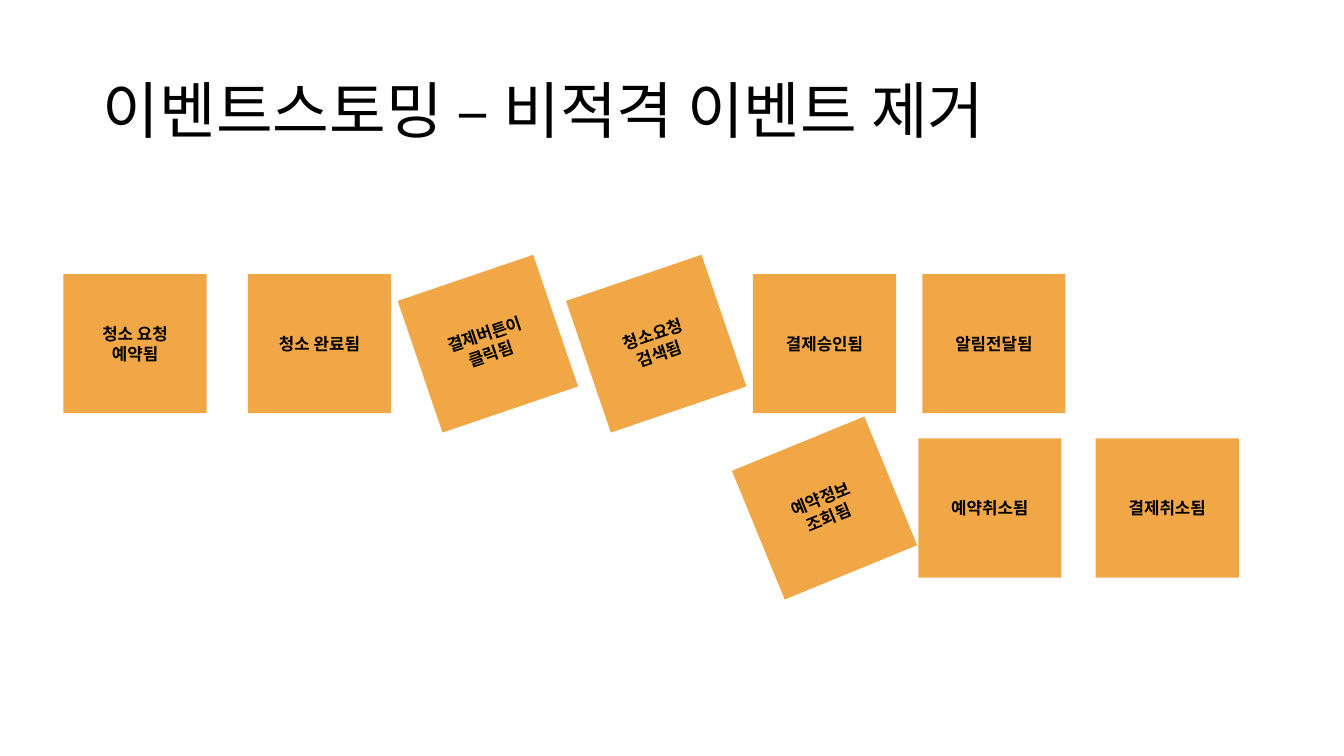
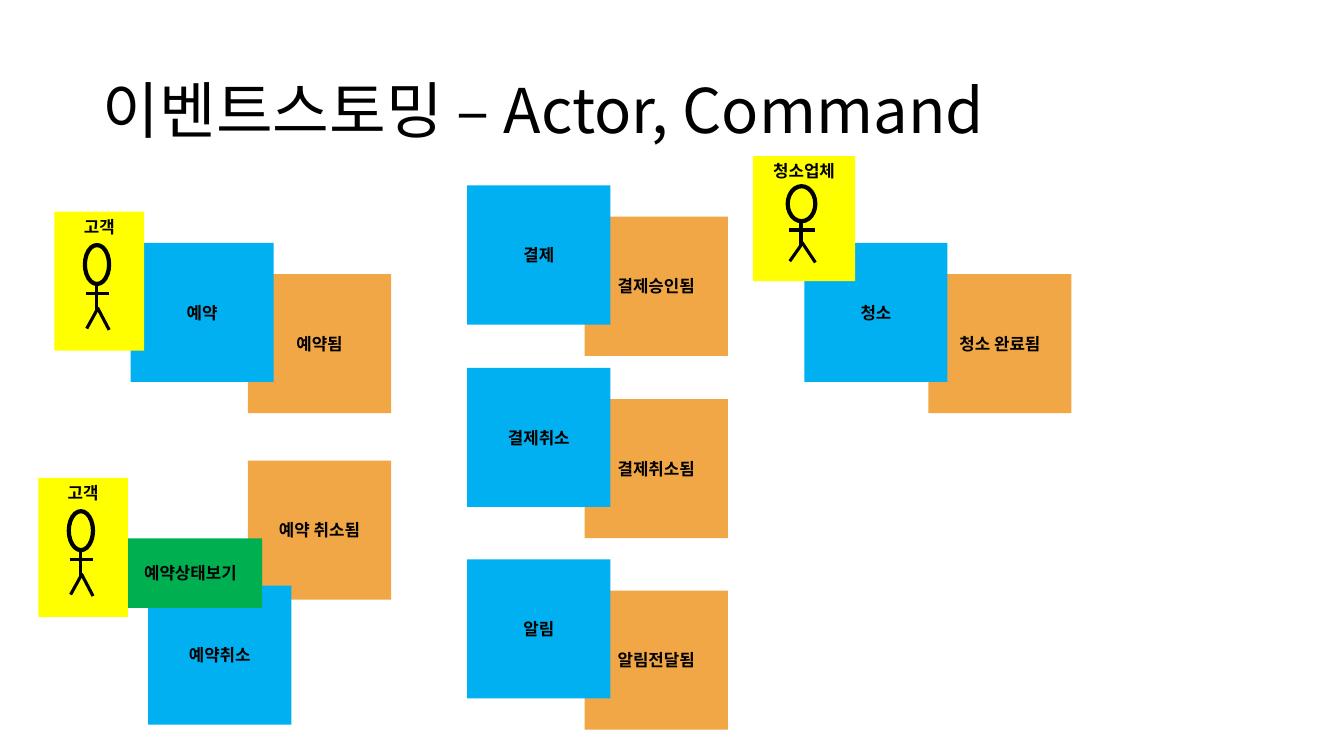
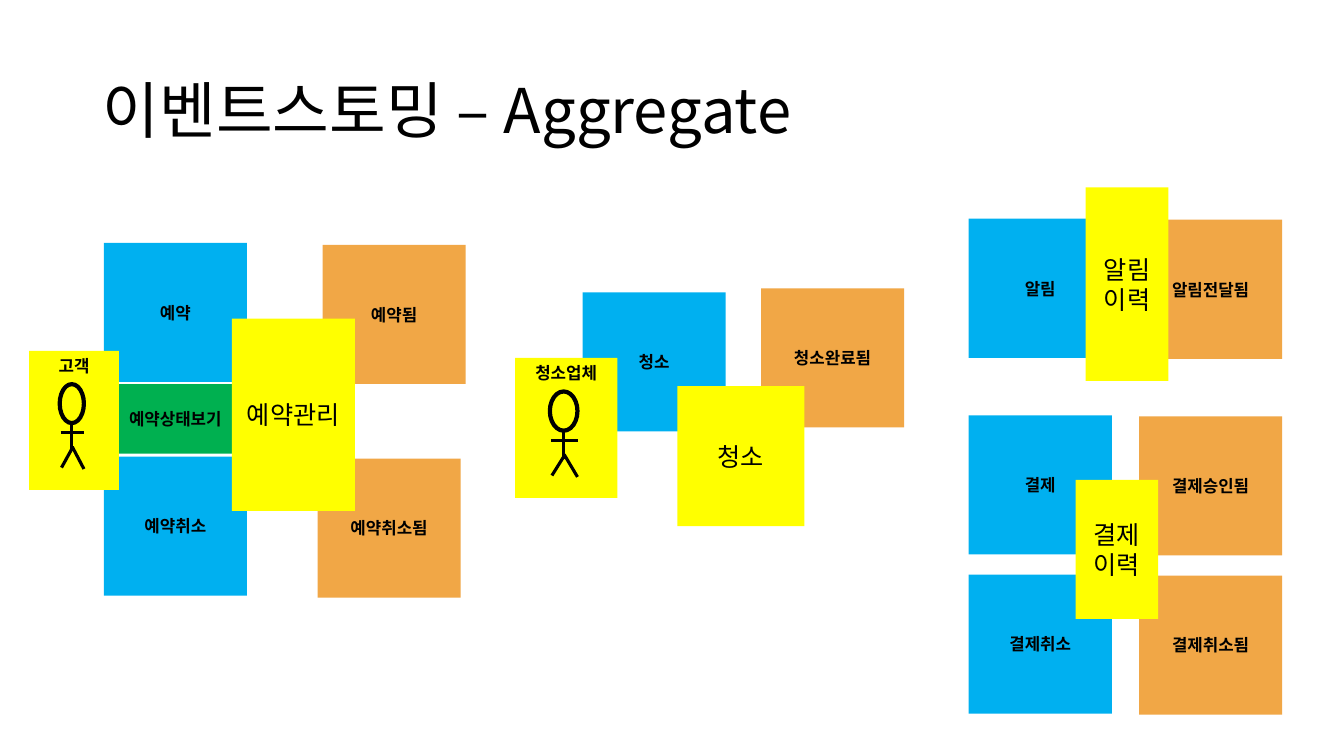
from dataclasses import dataclass
from typing import Optional

from lxml import etree
from pptx import Presentation
from pptx.dml.color import RGBColor
from pptx.enum.shapes import MSO_CONNECTOR, MSO_SHAPE
from pptx.enum.text import MSO_ANCHOR, PP_ALIGN
from pptx.oxml.ns import qn
from pptx.util import Inches, Pt

RECTANGLE, OVAL = MSO_SHAPE.RECTANGLE, MSO_SHAPE.OVAL
STRAIGHT = MSO_CONNECTOR.STRAIGHT
TOP, MIDDLE = MSO_ANCHOR.TOP, MSO_ANCHOR.MIDDLE
LEFT, CENTER = PP_ALIGN.LEFT, PP_ALIGN.CENTER

# All positions are columns and rows of a square grid.
GRID = Inches(0.1)
COLUMNS, ROWS = 133.33, 75
TITLE_ONLY_LAYOUT = 5


@dataclass(frozen=True)
class Theme:
    font: str = "Noto Sans CJK KR"
    ink: str = "000000"
    event: str = "F1A746"
    command: str = "00B0F0"
    view: str = "00B050"
    yellow: str = "FFFF00"
    title_size: float = 44
    note_size: float = 12
    aggregate_size: float = 18
    head_line: float = 3
    limb_line: float = 2.25


THEME = Theme()


@dataclass(frozen=True)
class Box:
    left: float
    top: float
    width: float
    height: float

    def emu(self) -> tuple[int, ...]:
        return tuple(grid(value) for value in (self.left, self.top, self.width, self.height))

    def point(self, across: float, down: float) -> tuple[int, int]:
        """Slide position of a point given as shares of the box."""
        return grid(self.left + across * self.width), grid(self.top + down * self.height)


@dataclass(frozen=True)
class Note:
    text: str
    box: Box
    fill: str
    rotation: float = 0
    size: float = THEME.note_size
    bold: bool = True
    anchor: MSO_ANCHOR = MIDDLE


@dataclass(frozen=True)
class Actor:
    name: str
    box: Box


@dataclass(frozen=True)
class Page:
    title: str
    items: list


TITLE_BOX = Box(9.2, 4, 115, 14.5)
NOTE_WIDTH, NOTE_HEIGHT = 14.2, 13.8
PAIR_COLUMNS, PAIR_ROWS = 11.65, 3.1

# Stick figure, as shares of its card.
HEAD = Box(0.34, 0.24, 0.27, 0.28)
LIMBS = (
    ((0.35, 0.59), (0.61, 0.59)),
    ((0.47, 0.51), (0.47, 0.72)),
    ((0.48, 0.7), (0.36, 0.84)),
    ((0.48, 0.69), (0.61, 0.85)),
)


def grid(cells: float) -> int:
    return round(cells * GRID)


def event(text: str, left: float, top: float, rotation: float = 0) -> Note:
    return Note(text, Box(left, top, NOTE_WIDTH, NOTE_HEIGHT), THEME.event, rotation)


def command(text: str, left: float, top: float) -> Note:
    return Note(text, Box(left, top, NOTE_WIDTH, NOTE_HEIGHT), THEME.command)


def view(text: str, left: float, top: float) -> Note:
    return Note(text, Box(left, top, NOTE_WIDTH, NOTE_HEIGHT / 2), THEME.view)


def aggregate(text: str, *box: float) -> Note:
    return Note(text, Box(*box), THEME.yellow, size=THEME.aggregate_size, bold=False)


def pair(command_text: str, event_text: str, left: float, top: float) -> list[Note]:
    """An event at left, top with its command overlapping the upper left corner."""
    return [event(event_text, left, top),
            command(command_text, left - PAIR_COLUMNS, top - PAIR_ROWS)]


def customer(left: float, top: float) -> Actor:
    return Actor("고객", Box(left, top, 8.9, NOTE_HEIGHT))


def cleaner(left: float, top: float, height: float) -> Actor:
    return Actor("청소업체", Box(left, top, 10.15, height))


PAGES = (
    Page("이벤트스토밍 – 비적격 이벤트 제거", [
        event("청소 요청\n예약됨", 6.3, 27.2),
        event("청소 완료됨", 24.6, 27.2),
        event("결제버튼이 클릭됨", 41.3, 27.2, 341.2),
        event("청소요청\n검색됨", 58, 27.2, 341.2),
        event("결제승인됨", 74.7, 27.2),
        event("알림전달됨", 91.5, 27.2),
        event("결제취소됨", 108.7, 43.5),
        event("예약취소됨", 91.1, 43.5),
        event("예약정보\n조회됨", 74.7, 43.5, 337.7),
    ]),
    Page("이벤트스토밍 – Actor, Command", [
        *pair("예약", "예약됨", 24.6, 27.2),
        *pair("결제", "결제승인됨", 58, 21.5),
        event("청소 완료됨", 92.1, 27.2),
        command("청소", 79.8, 24.1),
        event("예약 취소됨", 24.6, 45.7),
        command("예약취소", 14.7, 58.1),
        customer(5.4, 21),
        cleaner(74.7, 15.5, 12.4),
        *pair("결제취소", "결제취소됨", 58, 39.6),
        *pair("알림", "알림전달됨", 58, 58.6),
        view("예약상태보기", 11.8, 53.4),
        customer(3.8, 47.4),
    ]),
    Page("이벤트스토밍 – Aggregate", [
        view("예약상태보기", 10.3, 38.1),
        event("예약됨", 32, 24.3),
        event("알림전달됨", 113, 21.8),
        event("청소완료됨", 75.5, 28.6),
        event("예약취소됨", 31.5, 45.5),
        command("예약", 10.3, 24.1),
        command("알림", 96.1, 21.7),
        command("청소", 57.8, 29),
        command("예약취소", 10.3, 45.3),
        customer(2.9, 34.8),
        cleaner(51.1, 35.5, 13.9),
        aggregate("예약관리", 23, 31.6, 12.2, 19.1),
        aggregate("청소", 67.2, 38.3, 12.6, 13.9),
        aggregate("알림이력", 107.7, 18.6, 8.2, 19.2),
        event("결제승인됨", 113, 41.3),
        command("결제", 96.1, 41.2),
        event("결제취소됨", 113, 57.1),
        command("결제취소", 96.1, 57),
        aggregate("결제이력", 106.7, 47.6, 8.2, 13.8),
    ]),
)


def write_text(text_frame, text: str, *, size: float, bold: bool = False,
               alignment: PP_ALIGN = CENTER, anchor: MSO_ANCHOR = MIDDLE,
               line_spacing: Optional[float] = None) -> None:
    text_frame.word_wrap = True
    text_frame.vertical_anchor = anchor
    for index, line in enumerate(text.split("\n")):
        paragraph = text_frame.add_paragraph() if index else text_frame.paragraphs[0]
        paragraph.alignment = alignment
        paragraph.line_spacing = line_spacing
        run = paragraph.add_run()
        run.text = line
        font = run.font
        font.size, font.bold, font.name = Pt(size), bold, THEME.font
        font.color.rgb = RGBColor.from_string(THEME.ink)
        east_asian = etree.SubElement(run._r.get_or_add_rPr(), qn("a:ea"))
        east_asian.set("typeface", THEME.font)


def draw_note(shapes, note: Note) -> None:
    shape = shapes.add_shape(RECTANGLE, *note.box.emu())
    shape.shadow.inherit = False
    shape.fill.solid()
    shape.fill.fore_color.rgb = RGBColor.from_string(note.fill)
    shape.line.fill.background()
    shape.rotation = note.rotation
    write_text(shape.text_frame, note.text, size=note.size, bold=note.bold, anchor=note.anchor)


def set_line(shape, width: float) -> None:
    shape.line.color.rgb = RGBColor.from_string(THEME.ink)
    shape.line.width = Pt(width)


def draw_actor(shapes, actor: Actor) -> None:
    """A grouped card with the actor's name above a stick figure."""
    members = shapes.add_group_shape().shapes
    card = actor.box
    draw_note(members, Note(actor.name, card, THEME.yellow, anchor=TOP))
    head = members.add_shape(OVAL, *card.point(HEAD.left, HEAD.top),
                             grid(HEAD.width * card.width), grid(HEAD.height * card.height))
    head.shadow.inherit = False
    head.fill.background()
    set_line(head, THEME.head_line)
    for start, end in LIMBS:
        limb = members.add_connector(STRAIGHT, *card.point(*start), *card.point(*end))
        set_line(limb, THEME.limb_line)
        etree.SubElement(limb._element.spPr, qn("a:effectLst"))


def draw_page(presentation, layout, page: Page) -> None:
    slide = presentation.slides.add_slide(layout)
    write_text(slide.shapes.title.text_frame, page.title, size=THEME.title_size,
               alignment=LEFT, line_spacing=0.9)
    for item in page.items:
        draw = draw_actor if isinstance(item, Actor) else draw_note
        draw(slide.shapes, item)


def main() -> None:
    presentation = Presentation()
    presentation.slide_width, presentation.slide_height = grid(COLUMNS), grid(ROWS)
    layout = presentation.slide_layouts[TITLE_ONLY_LAYOUT]
    title = layout.placeholders[0]
    title.left, title.top, title.width, title.height = TITLE_BOX.emu()
    for page in PAGES:
        draw_page(presentation, layout, page)
    presentation.save("out.pptx")


if __name__ == "__main__":
    main()
